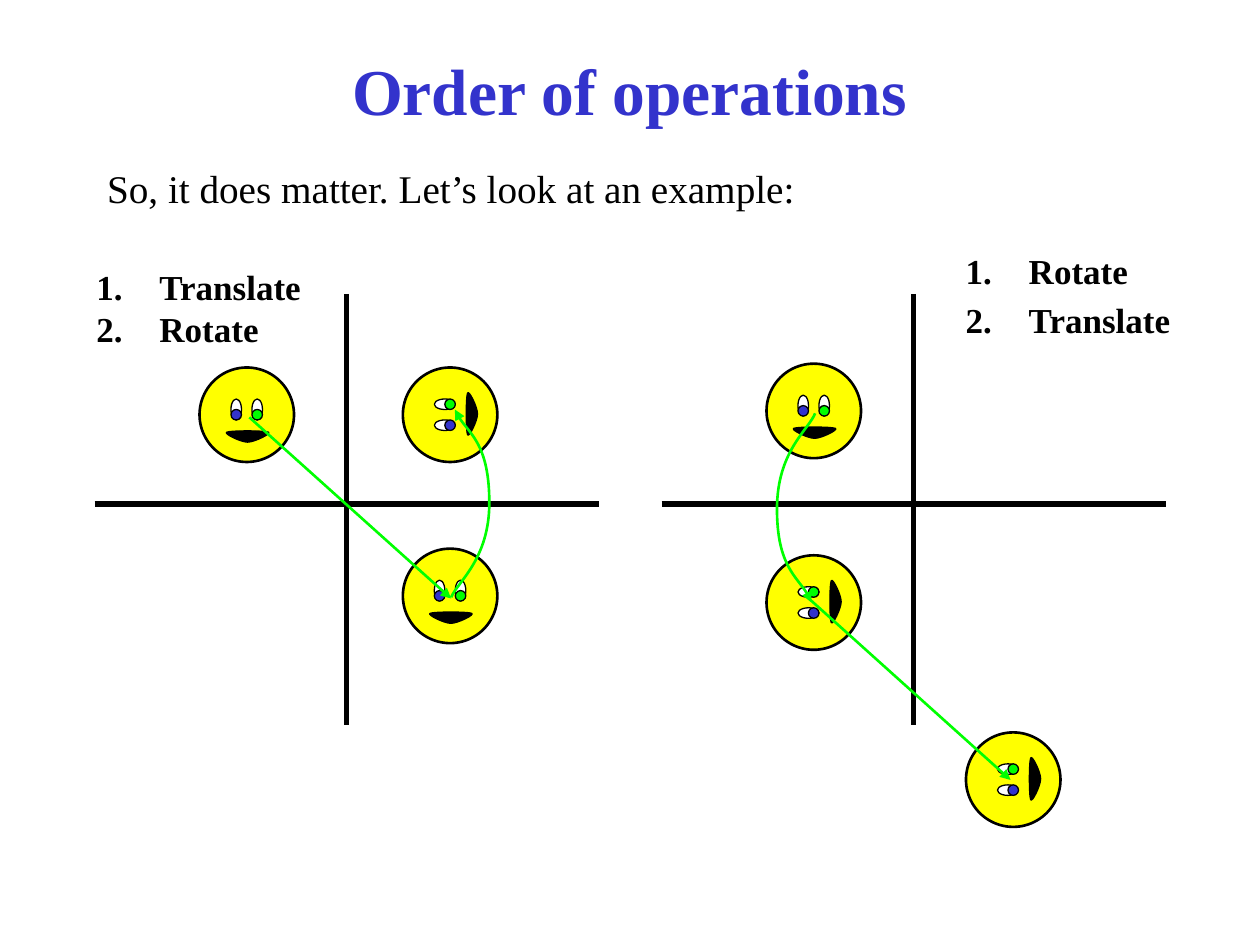
from dataclasses import dataclass
from typing import NamedTuple

from lxml.etree import SubElement
from pptx import Presentation
from pptx.dml.color import RGBColor as RGB
from pptx.enum.shapes import MSO_CONNECTOR as CONN, MSO_SHAPE as SHAPE
from pptx.enum.text import MSO_ANCHOR as ANCHOR, MSO_AUTO_SIZE as AUTO, PP_ALIGN as ALIGN
from pptx.oxml.ns import qn
from pptx.util import Pt


@dataclass(frozen=True)
class Theme:
    font: str = "Times New Roman"
    title_size: float = 37.4
    body_size: float = 22.4
    list_size: float = 20
    black: RGB = RGB(0, 0, 0)
    white: RGB = RGB(255, 255, 255)
    blue: RGB = RGB(0x33, 0x33, 0xCC)
    green: RGB = RGB(0, 255, 0)
    yellow: RGB = RGB(255, 255, 0)
    thin: float = 0.75
    medium: float = 1.5
    thick: float = 3


class Point(NamedTuple):
    x: float
    y: float


class Box(NamedTuple):
    x: float
    y: float
    w: float
    h: float


class Face(NamedTuple):
    x: float
    y: float
    angle: int = 0


class Steps(NamedTuple):
    box: Box
    items: list[str]
    gap: float


THEME = Theme()
HEAD = 54
EYE_XS = (18, 30)
PUPILS = (THEME.blue, THEME.green)
MOUTH = [Point(15.6, 37),
         Point(13.5, 37.7), Point(23.5, 42.7), Point(27.5, 42.7),
         Point(31.5, 42.7), Point(41.5, 37.7), Point(39.4, 37),
         Point(37, 36), Point(18, 36), Point(15.6, 37)]
SWING_UP = [Point(257.8, 341.3),
            Point(261.4, 332.6), Point(279.6, 319.7), Point(279.6, 287.3),
            Point(279.6, 254.2), Point(264.3, 244.8), Point(259.9, 234)]
SWING_DOWN = [Point(465.8, 236.2),
              Point(462.2, 245.5), Point(444, 257.8), Point(444, 290.9),
              Point(444, 323.3), Point(459.4, 332.6), Point(463.7, 344.2)]
STEPS = [Steps(Box(48, 148, 132.5, 55.4), ["Translate", "Rotate"], 0),
         Steps(Box(544.8, 139, 139, 60.5), ["Rotate", "Translate"], 4)]


def add_curve(shapes, points: list[Point], closed: bool):
    start, *rest = [(Pt(p.x), Pt(p.y)) for p in points]
    builder = shapes.build_freeform(*start)
    builder.add_line_segments(rest, close=closed)
    s = builder.convert_to_shape()
    segments = list(s._element.iter(qn("a:lnTo")))
    for i in range(0, len(segments), 3):
        first, *others = segments[i:i + 3]
        outline = first.getparent()
        curve = outline.makeelement(qn("a:cubicBezTo"))
        outline.replace(first, curve)
        curve.append(first[0])
        for segment in others:
            curve.append(segment[0])
            outline.remove(segment)
    return s


def style(s, fill: RGB | None, line: RGB, width: float) -> None:
    s.shadow.inherit = False
    if fill is None:
        s.fill.background()
    else:
        s.fill.solid()
        s.fill.fore_color.rgb = fill
    s.line.color.rgb = line
    s.line.width = Pt(width)


def add_arrowhead(s) -> None:
    SubElement(s._element.spPr.find(qn("a:ln")), qn("a:tailEnd"), type="triangle")


def add_line(shapes, start: Point, end: Point, color: RGB, width: float):
    s = shapes.add_connector(CONN.STRAIGHT, Pt(start.x), Pt(start.y), Pt(end.x), Pt(end.y))
    s.line.color.rgb = color
    s.line.width = Pt(width)
    SubElement(s._element.spPr, qn("a:effectLst"))
    return s


def add_arrow(shapes, start: Point, end: Point) -> None:
    add_arrowhead(add_line(shapes, start, end, THEME.green, THEME.medium))


def add_swing(shapes, points: list[Point]) -> None:
    s = add_curve(shapes, points, closed=False)
    style(s, None, THEME.green, THEME.medium)
    add_arrowhead(s)


def add_oval(shapes, box: Box, fill: RGB, width: float) -> None:
    s = shapes.add_shape(SHAPE.OVAL, *map(Pt, box))
    style(s, fill, THEME.black, width)


def add_face(shapes, face: Face) -> None:
    group = shapes.add_group_shape()
    parts = group.shapes
    add_oval(parts, Box(face.x, face.y, HEAD, HEAD), THEME.yellow, THEME.medium)
    mouth = [Point(face.x + p.x, face.y + p.y) for p in MOUTH]
    style(add_curve(parts, mouth, closed=True), THEME.black, THEME.black, THEME.thin)
    for x in EYE_XS:
        add_oval(parts, Box(face.x + x, face.y + 18, 6, 12), THEME.white, THEME.thin)
    for x, color in zip(EYE_XS, PUPILS):
        add_oval(parts, Box(face.x + x, face.y + 24, 6, 6), color, THEME.thin)
    group.rotation = face.angle


def add_axes(shapes, origin: Point) -> None:
    parts = shapes.add_group_shape().shapes
    add_line(parts, Point(origin.x, 168), Point(origin.x, 414), THEME.black, THEME.thick)
    add_line(parts, Point(origin.x - 144, origin.y), Point(origin.x + 144, origin.y),
             THEME.black, THEME.thick)


def set_font(p, size: float, color: RGB, bold: bool) -> None:
    p.font.name = THEME.font
    p.font.size = Pt(size)
    p.font.bold = bold
    p.font.color.rgb = color


def set_hanging(p, indent: float) -> None:
    pPr = p._p.get_or_add_pPr()
    pPr.set("marL", str(Pt(indent)))
    pPr.set("indent", str(-Pt(indent)))


def fill_placeholder(s, box: Box, text: str, anchor: ANCHOR):
    s.left, s.top, s.width, s.height = map(Pt, box)
    tf = s.text_frame
    tf.text = text
    tf.auto_size = AUTO.NONE
    tf.vertical_anchor = anchor
    p = tf.paragraphs[0]
    p.space_before = Pt(0)
    return p


def add_steps(shapes, steps: Steps) -> None:
    tf = shapes.add_textbox(*map(Pt, steps.box)).text_frame
    tf.word_wrap = True
    for i, item in enumerate(steps.items):
        p = tf.add_paragraph() if i else tf.paragraphs[0]
        p.text = item
        p.space_before = Pt(steps.gap if i else 0)
        set_hanging(p, 36)
        SubElement(p._p.get_or_add_pPr(), qn("a:buAutoNum"), type="arabicPeriod")
        set_font(p, THEME.list_size, THEME.black, True)


def main() -> None:
    prs = Presentation()
    prs.slide_width, prs.slide_height = Pt(720), Pt(540)
    slide = prs.slides.add_slide(prs.slide_layouts[1])
    shapes = slide.shapes

    p = fill_placeholder(shapes.title, Box(54, 24, 612, 54), "Order of operations", ANCHOR.MIDDLE)
    p.alignment = ALIGN.CENTER
    set_font(p, THEME.title_size, THEME.blue, True)

    p = fill_placeholder(slide.placeholders[1], Box(54, 90.4, 612, 36),
                         "So, it does matter. Let’s look at an example:", ANCHOR.TOP)
    set_hanging(p, 27)
    SubElement(p._p.get_or_add_pPr(), qn("a:buNone"))
    set_font(p, THEME.body_size, THEME.black, False)

    add_face(shapes, Face(114, 210))
    add_axes(shapes, Point(198, 288))
    add_face(shapes, Face(230.2, 313.5))
    add_arrow(shapes, Point(142.5, 238.5), Point(257.8, 342))
    add_face(shapes, Face(230.2, 210, 270))
    add_swing(shapes, SWING_UP)

    add_axes(shapes, Point(522, 288))
    for face in (Face(438, 207.8), Face(438, 317.3, 270), Face(552, 418.5, 270)):
        add_face(shapes, face)
    add_swing(shapes, SWING_DOWN)
    add_arrow(shapes, Point(462.2, 342), Point(577.5, 445.7))

    for steps in STEPS:
        add_steps(shapes, steps)
    prs.save("out.pptx")


if __name__ == "__main__":
    main()
